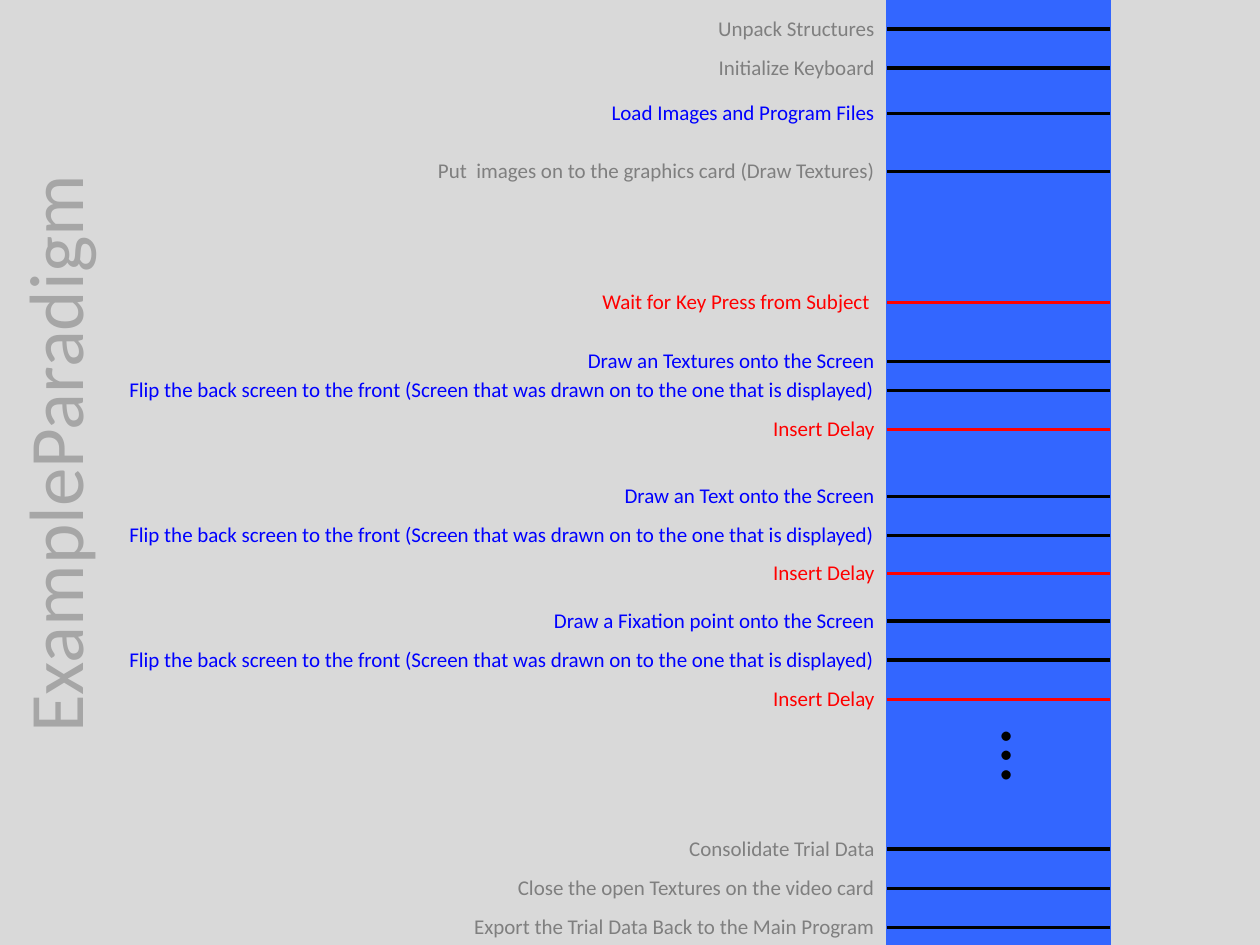
from lxml.etree import SubElement
from pptx import Presentation
from pptx.dml.color import RGBColor as RGB
from pptx.enum.shapes import MSO_CONNECTOR as LINK, MSO_SHAPE as SHAPE
from pptx.enum.text import PP_ALIGN as ALIGN
from pptx.oxml.ns import qn
from pptx.util import Inches, Pt

HUES = {
    "back": "D9D9D9",
    "band": "3366FF",
    "black": "000000",
    "title": "A6A6A6",
    "setup": "7F7F7F",
    "draw": "0000FF",
    "wait": "FF0000",
}
EDGE, BAND = 7.04, 1.77
FLIP = "Flip the back screen to the front (Screen that was drawn on to the one that is displayed)"
DELAY = "Insert Delay"

STEPS = [
    (0.23, 2.4, "setup", "Unpack Structures"),
    (0.54, 4.15, "setup", "Initialize Keyboard"),
    (0.9, 4.15, "draw", "Load Images and Program Files"),
    (1.36, 4.15, "setup", "Put  images on to the graphics card (Draw Textures)"),
    (2.4, 3.07, "wait", "Wait for Key Press from Subject "),
    (2.87, 3.07, "draw", "Draw an Textures onto the Screen"),
    (3.1, 6.59, "draw", FLIP),
    (3.41, 3.07, "wait", DELAY),
    (3.94, 3.07, "draw", "Draw an Text onto the Screen"),
    (4.25, 6.59, "draw", FLIP),
    (4.55, 3.07, "wait", DELAY),
    (4.93, 3.07, "draw", "Draw a Fixation point onto the Screen"),
    (5.24, 6.59, "draw", FLIP),
    (5.55, 3.07, "wait", DELAY),
    (6.74, 2.08, "setup", "Consolidate Trial Data"),
    (7.05, 3.07, "setup", "Close the open Textures on the video card"),
    (7.36, 4.4, "setup", "Export the Trial Data Back to the Main Program"),
]


def tint(name):
    return RGB.from_string(HUES[name])


def add_band(slide):
    band = slide.shapes.add_shape(
        SHAPE.RECTANGLE, Inches(EDGE), 0, Inches(BAND), Inches(7.5))
    band.shadow.inherit = False
    band.fill.solid()
    band.fill.fore_color.rgb = tint("band")
    band.line.color.rgb = tint("band")
    band.line.width = Pt(0.75)


def add_text(slide, area, text, size, hue, align=ALIGN.LEFT, turn=0):
    box = slide.shapes.add_textbox(*map(Inches, area))
    box.rotation = turn
    frame = box.text_frame
    frame.word_wrap = True
    para = frame.paragraphs[0]
    para.alignment = align
    run = para.add_run()
    run.text = text
    run.font.name = "Calibri"
    run.font.size = Pt(size)
    run.font.color.rgb = tint(hue)


def add_mark(slide, y, hue):
    mark = slide.shapes.add_connector(
        LINK.STRAIGHT, Inches(EDGE + BAND), Inches(y), Inches(EDGE), Inches(y))
    mark.line.color.rgb = tint(hue)
    mark.line.width = Pt(2)
    SubElement(mark._element.spPr, qn("a:effectLst"))


def add_step(slide, y, width, kind, text):
    add_mark(slide, y, "wait" if kind == "wait" else "black")
    area = (EDGE - width, y - 0.16, width, 0.31)
    add_text(slide, area, text, 12, kind, ALIGN.RIGHT)


def main():
    deck = Presentation()
    deck.slide_width, deck.slide_height = Inches(10), Inches(7.5)
    slide = deck.slides.add_slide(deck.slide_layouts[6])
    slide.background.fill.solid()
    slide.background.fill.fore_color.rgb = tint("back")
    add_band(slide)
    for step in STEPS:
        add_step(slide, *step)
    add_text(slide, (7.59, 5.14, 0.48, 1.58), "…", 44, "black", turn=90)
    add_text(slide, (-1.93, 3.14, 4.71, 0.84), "ExampleParadigm", 44, "title", turn=270)
    deck.save("out.pptx")


if __name__ == "__main__":
    main()
